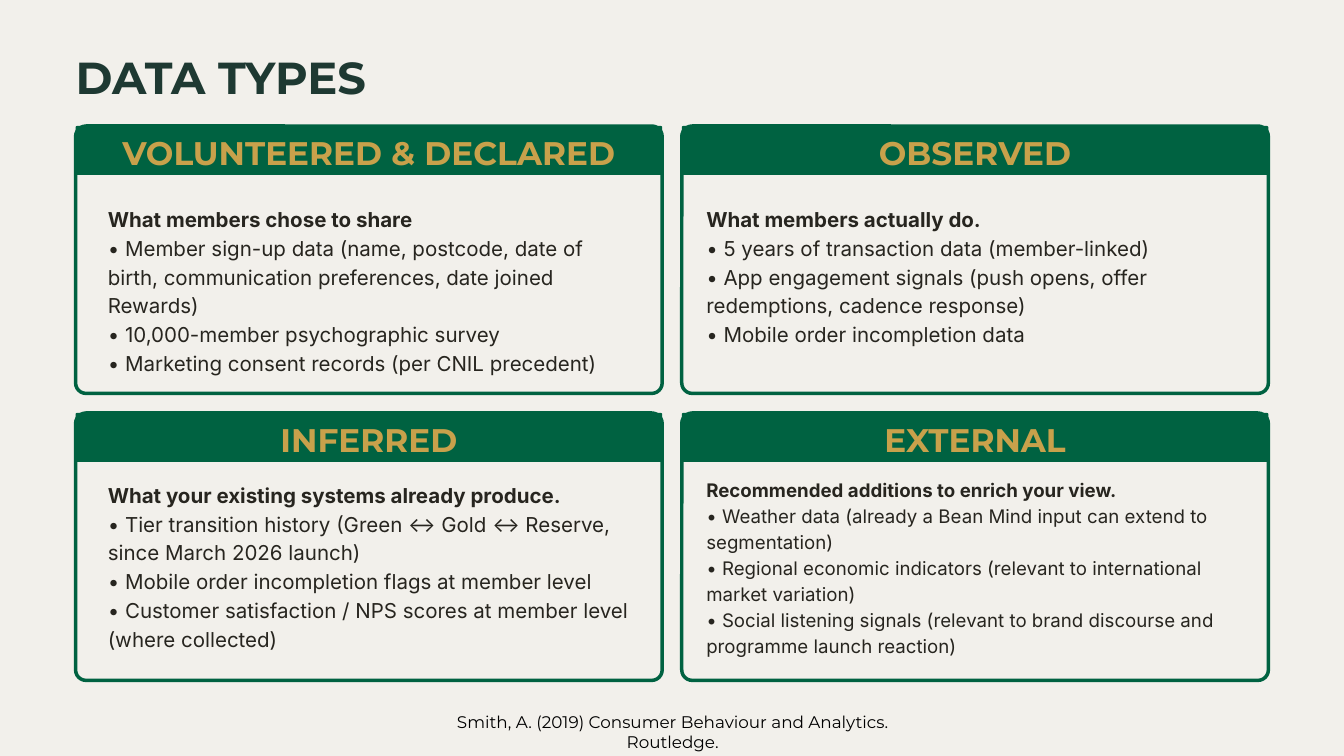
from pptx import Presentation
from pptx.dml.color import RGBColor
from pptx.enum.shapes import MSO_SHAPE
from pptx.enum.text import MSO_ANCHOR, MSO_AUTO_SIZE, PP_ALIGN
from pptx.util import Emu, Pt

ROUNDED = MSO_SHAPE.ROUNDED_RECTANGLE
LEFT, CENTER = PP_ALIGN.LEFT, PP_ALIGN.CENTER
TOP = MSO_ANCHOR.TOP
NO_AUTOFIT = MSO_AUTO_SIZE.NONE

EMU_PER_PX = 9525
PAGE_WIDTH, PAGE_HEIGHT = 1920, 1080
COLORS = {
    "paper": "F2F0EB",
    "green": "006241",
    "dark_green": "1E3932",
    "gold": "C8A14B",
    "ink": "27251F",
    "black": "000000",
}
HEADING_FONT, BODY_FONT = "Montserrat", "Inter"

CARD_LEFT, CARD_TOP = 108, 180
CARD_WIDTH, CARD_HEIGHT = 838, 382
COLUMN_GAP, ROW_GAP = 28, 28
HEADER_HEIGHT = 70
BODY_INSETS = (46, 35)  # one for each column
BODY_WIDTHS = (747, 785)

# Heading, body offset from the card top, body size, body lines
CARDS = [
    ("VOLUNTEERED & DECLARED", 110, 22, [
        "What members chose to share",
        "• Member sign-up data (name, postcode, date of birth, "
        "communication preferences, date joined Rewards)",
        "• 10,000-member psychographic survey",
        "• Marketing consent records (per CNIL precedent)",
    ]),
    ("OBSERVED", 110, 22, [
        "What members actually do.",
        "• 5 years of transaction data (member-linked)",
        "• App engagement signals (push opens, offer redemptions, "
        "cadence response)",
        "• Mobile order incompletion data",
    ]),
    ("INFERRED", 94, 22, [
        "What your existing systems already produce.",
        "• Tier transition history (Green ↔ Gold ↔ Reserve, "
        "since March 2026 launch)",
        "• Mobile order incompletion flags at member level",
        "• Customer satisfaction / NPS scores at member level "
        "(where collected)",
    ]),
    ("EXTERNAL", 88, 20, [
        "Recommended additions to enrich your view.",
        "• Weather data (already a Bean Mind input can extend to "
        "segmentation)",
        "• Regional economic indicators (relevant to international "
        "market variation)",
        "• Social listening signals (relevant to brand discourse and "
        "programme launch reaction)",
    ]),
]


def px(value):
    return Emu(value * EMU_PER_PX)


def color(name):
    return RGBColor.from_string(COLORS[name])


def prepare_frame(frame):
    frame.word_wrap = True
    frame.auto_size = NO_AUTOFIT
    frame.vertical_anchor = TOP
    frame.margin_left = frame.margin_right = 0
    frame.margin_top = frame.margin_bottom = 0


def write_para(para, text, *, size, ink, font=HEADING_FONT, bold=False,
               align=LEFT, spacing=1.2):
    """Fill a paragraph; spacing is the line pitch as a multiple of size."""
    para.text = text
    para.alignment = align
    para.line_spacing = Pt(round(size * spacing, 1))
    para.space_before = para.space_after = Pt(0)
    para.font.name = font
    para.font.size = Pt(size)
    para.font.bold = bold
    para.font.color.rgb = color(ink)


def add_text(page, left, top, width, height, text, **style):
    box = page.shapes.add_textbox(px(left), px(top), px(width), px(height))
    prepare_frame(box.text_frame)
    write_para(box.text_frame.paragraphs[0], text, **style)


def add_body(page, left, top, width, height, lines, size):
    """Add a bold lead line followed by regular lines."""
    box = page.shapes.add_textbox(px(left), px(top), px(width), px(height))
    frame = box.text_frame
    prepare_frame(frame)
    for index, line in enumerate(lines):
        para = frame.add_paragraph() if index else frame.paragraphs[0]
        write_para(para, line, size=size, ink="ink", font=BODY_FONT,
                   bold=index == 0, spacing=1.4)


def add_panel(page, left, top, width, height, radius, fill, line=None):
    panel = page.shapes.add_shape(ROUNDED, px(left), px(top), px(width), px(height))
    panel.adjustments[0] = radius / min(width, height)
    panel.shadow.inherit = False
    panel.fill.solid()
    panel.fill.fore_color.rgb = color(fill)
    if line:
        panel.line.color.rgb = color(line)
        panel.line.width = Pt(3.75)
    else:
        panel.line.fill.background()


def add_card(page, column, row, heading, body_offset, size, lines):
    left = CARD_LEFT + column * (CARD_WIDTH + COLUMN_GAP)
    top = CARD_TOP + row * (CARD_HEIGHT + ROW_GAP)
    add_panel(page, left, top, CARD_WIDTH, CARD_HEIGHT, 15, "paper", "green")
    add_panel(page, left, top, CARD_WIDTH, HEADER_HEIGHT, 2, "green")
    add_text(page, left + 20, top + 10, CARD_WIDTH - 40, 55, heading,
             size=35, ink="gold", bold=True, align=CENTER)
    add_body(page, left + BODY_INSETS[column], top + body_offset,
             BODY_WIDTHS[column], 250, lines, size)


def set_title(page, text):
    title = page.shapes.title
    title.left, title.top = px(108), px(71)
    title.width, title.height = px(420), px(75)
    prepare_frame(title.text_frame)
    write_para(title.text_frame.paragraphs[0], text,
               size=48, ink="dark_green", bold=True)


def main():
    deck = Presentation()
    deck.slide_width, deck.slide_height = px(PAGE_WIDTH), px(PAGE_HEIGHT)
    page = deck.slides.add_slide(deck.slide_layouts.get_by_name("Title Only"))
    page.background.fill.solid()
    page.background.fill.fore_color.rgb = color("paper")

    set_title(page, "DATA TYPES")
    for index, card in enumerate(CARDS):
        row, column = divmod(index, 2)
        add_card(page, column, row, *card)
    add_text(page, 584, 1016, 754, 28,
             "Smith, A. (2019) Consumer Behaviour and Analytics. Routledge.",
             size=18, ink="black", align=CENTER)
    deck.save("out.pptx")


if __name__ == "__main__":
    main()
